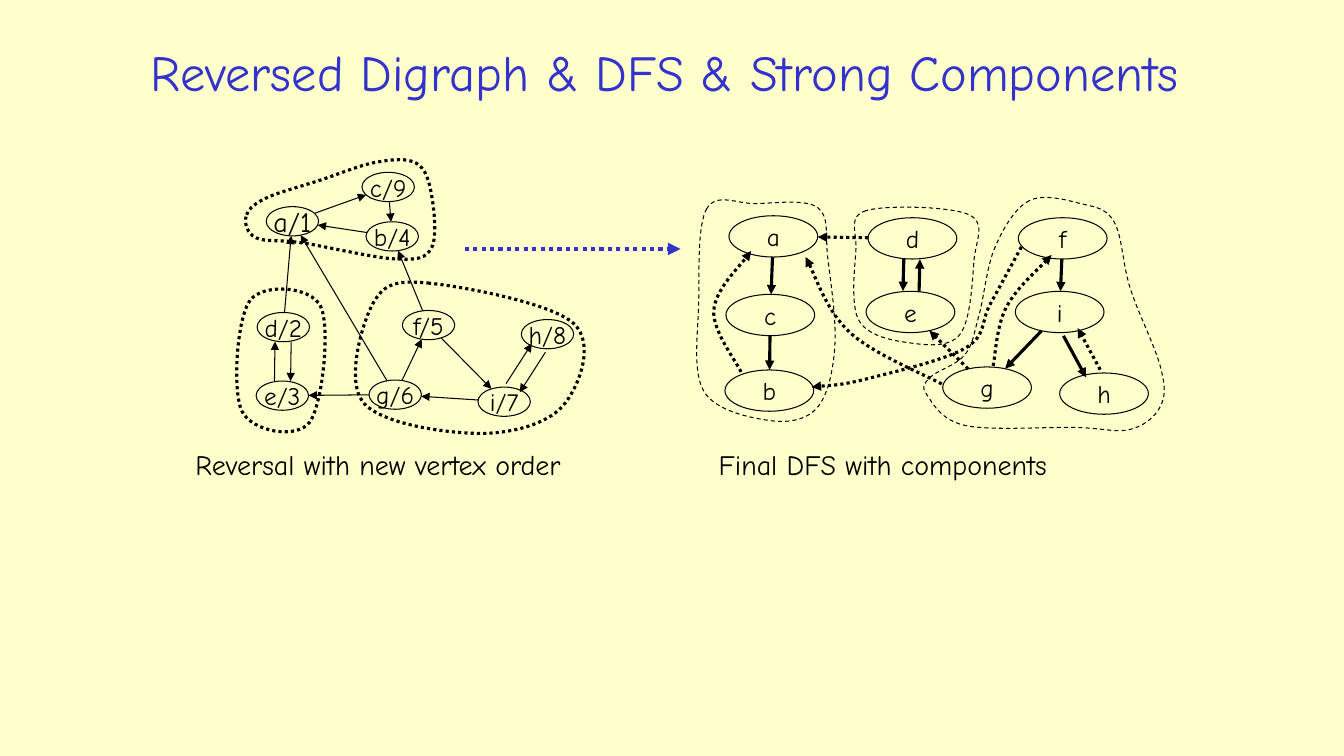
from math import hypot

from lxml import etree
from pptx import Presentation
from pptx.dml.color import RGBColor
from pptx.enum.dml import MSO_LINE
from pptx.enum.shapes import MSO_CONNECTOR, MSO_SHAPE
from pptx.enum.text import MSO_ANCHOR, PP_ALIGN
from pptx.oxml.ns import qn
from pptx.util import Inches, Pt

COLORS = {"paper": "FFFFCC", "ink": "000000", "accent": "3333CC"}
FONT = "Comic Neue"
ELLIPSE, STRAIGHT = MSO_SHAPE.OVAL, MSO_CONNECTOR.STRAIGHT
DOT, DASH = MSO_LINE.ROUND_DOT, MSO_LINE.DASH
CENTER, LEFT = PP_ALIGN.CENTER, PP_ALIGN.LEFT
MIDDLE, TOP = MSO_ANCHOR.MIDDLE, MSO_ANCHOR.TOP
THIN, THICK = 0.75, 2.25

# Points are in inches from the corner of the region; an edge names its two vertices.
REVERSED = {
    "node_size": (0.52, 0.29),
    "nodes": {"a/1": (1.64, 1.05), "c/9": (2.59, 0.71), "b/4": (2.63, 1.2),
              "d/2": (1.55, 2.1), "e/3": (1.54, 2.78), "f/5": (2.99, 2.08),
              "g/6": (2.66, 2.77), "i/7": (3.74, 2.84), "h/8": (4.17, 2.17)},
    "larger": "a/1",
    "edges": "ac ba cb da ed de fb ge fi ih hi ig gf ga",
    "dotted_edges": "",
    "edge_weight": THIN,
    "pair_shift": 0.08,
    "curves": [],
    "component_line": (THICK, DOT),
    "components": [
        [(3.26, 1.81), (2.7, 2.01), (2.6, 2.99), (3.73, 3.3), (4.58, 3.03), (4.69, 2.21)],
        [(1.48, 1.98), (1.4, 3.08), (2.07, 3.19), (2.18, 2.04)],
        [(1.44, 1.15), (1.54, 1.36), (2, 1.41), (2.93, 1.57), (3.28, 1.46), (3.28, 0.93),
         (3.13, 0.62), (2.73, 0.61), (2.17, 0.79), (1.63, 0.97)]],
    "caption": ("Reversal with new vertex order", 0.84, 4.28),
}

FINAL = {
    "node_size": (0.88, 0.41),
    "nodes": {"a": (1.23, 1.14), "c": (1.2, 1.92), "b": (1.19, 2.67),
              "d": (2.61, 1.16), "e": (2.59, 1.89), "f": (4.1, 1.16),
              "i": (4.07, 1.89), "g": (3.35, 2.64), "h": (4.51, 2.7)},
    "larger": None,
    "edges": "ac cb de fi ig ih ed",
    "dotted_edges": "hi da ge",
    "edge_weight": THICK,
    "pair_shift": -0.08,
    "curves": [
        [(1.35, 2.69), (1.08, 2.08), (1.45, 1.49)],
        [(3.85, 2.63), (3.98, 2.05), (4.43, 1.53)],
        [(3.34, 2.81), (2.43, 2.3), (1.99, 1.55)],
        [(4.13, 1.45), (3.82, 2.02), (3.58, 2.45), (2.59, 2.76), (2.05, 2.84)]],
    "component_line": (THIN, DASH),
    "components": [
        [(1.01, 1.07), (0.93, 1.99), (0.98, 2.88), (1.62, 3.17), (2.1, 3.05), (2.28, 2.44),
         (2.21, 1.56), (2.11, 1.06), (1.49, 1.02)],
        [(2.59, 1.09), (2.49, 1.48), (2.52, 2.18), (3.01, 2.4), (3.52, 2.32), (3.66, 1.59),
         (3.61, 1.13)],
        [(4.21, 0.99), (3.87, 1.45), (3.71, 2.13), (3.57, 2.52), (3.23, 2.74), (3.19, 2.91),
         (3.57, 3.22), (4.67, 3.24), (5.21, 3.26), (5.51, 3.03), (5.51, 2.64), (5.21, 1.86),
         (5.05, 1.2), (4.72, 1.02)]],
    "caption": ("Final DFS with components", 1.03, 3.69),
}


def color(name):
    return RGBColor.from_string(COLORS[name])


def write(shape, text, size, ink="ink", align=LEFT, anchor=TOP, wrap=True):
    frame = shape.text_frame
    frame.word_wrap, frame.vertical_anchor = wrap, anchor
    para = frame.paragraphs[0]
    para.alignment = align
    span = para.add_run()
    span.text = text
    span.font.name, span.font.size = FONT, Pt(size)
    span.font.color.rgb = color(ink)


def draw_line(shape, weight, dash=None, arrow=False, ink="ink"):
    shape.line.width = Pt(weight)
    shape.line.color.rgb = color(ink)
    if dash:
        shape.line.dash_style = dash
    if arrow:
        line = shape._element.spPr.find(qn("a:ln"))
        etree.SubElement(line, qn("a:tailEnd"), type="triangle")


def add_node(shapes, box, text, size):
    node = shapes.add_shape(ELLIPSE, *map(Inches, box))
    node.shadow.inherit = False
    node.fill.solid()
    node.fill.fore_color.rgb = color("paper")
    draw_line(node, THIN)
    write(node, text, size, align=CENTER, anchor=MIDDLE, wrap=False)


def add_arrow(shapes, start, end, weight, dash=None, ink="ink"):
    arrow = shapes.add_connector(STRAIGHT, *map(Inches, (*start, *end)))
    draw_line(arrow, weight, dash, True, ink)
    etree.SubElement(arrow._element.spPr, qn("a:effectLst"))


def edge_ends(start, end, size, shift):
    """Runs between the rims of two ellipses, moved sideways by shift."""
    (x1, y1), (x2, y2) = start, end
    dx, dy = x2 - x1, y2 - y1
    rim = 1 / hypot(2 * dx / size[0], 2 * dy / size[1])
    side_x, side_y = (shift * part / hypot(dx, dy) for part in (dy, -dx))
    return [(x1 + dx * part + side_x, y1 + dy * part + side_y) for part in (rim, 1 - rim)]


def smooth_points(knots, closed):
    """Adds two handles between knots, each a sixth of its neighbours' distance away."""
    if closed:
        padded = [knots[-1], *knots, *knots[:2]]
    else:
        padded = [knots[0], *knots, knots[-1]]
    points = [knots[0]]
    for before, start, end, after in zip(padded, padded[1:], padded[2:], padded[3:]):
        points.append([s + (e - b) / 6 for b, s, e in zip(before, start, end)])
        points.append([e - (a - s) / 6 for s, e, a in zip(start, end, after)])
        points.append(end)
    return points


def add_curve(shapes, knots, weight, dash, closed):
    start, *rest = [tuple(map(Inches, point)) for point in smooth_points(knots, closed)]
    builder = shapes.build_freeform(*start)
    builder.add_line_segments(rest, close=closed)
    curve = builder.convert_to_shape()
    steps = list(curve._element.iter(qn("a:lnTo")))[:len(rest)]
    for first in range(0, len(steps), 3):
        bezier = etree.Element(qn("a:cubicBezTo"))
        steps[first].addprevious(bezier)
        for step in steps[first:first + 3]:
            bezier.append(step[0])
            step.getparent().remove(step)
    curve.shadow.inherit = False
    curve.fill.background()
    draw_line(curve, weight, dash, arrow=not closed)


def add_text(shapes, box, text, size, **style):
    write(shapes.add_textbox(*map(Inches, box)), text, size, **style)


def add_digraph(page, left, top, graph):
    shapes = page.shapes.add_group_shape().shapes
    width, height = graph["node_size"]

    # Vertices
    centers = {}
    for text, (x, y) in graph["nodes"].items():
        x, y = left + x, top + y
        centers[text[0]] = (x + width / 2, y + height / 2)
        add_node(shapes, (x, y, width, height), text, 20 if text == graph["larger"] else 18)

    # Edges: opposite ones run side by side
    solid, dotted = graph["edges"].split(), graph["dotted_edges"].split()
    for edge in solid + dotted:
        shift = graph["pair_shift"] if edge[::-1] in solid + dotted else 0
        ends = edge_ends(centers[edge[0]], centers[edge[1]], (width, height), shift)
        add_arrow(shapes, *ends, graph["edge_weight"], DOT if edge in dotted else None)

    # Curved edges and strong components
    for kind, style, closed in (("curves", (THICK, DOT), False),
                                ("components", graph["component_line"], True)):
        for knots in graph[kind]:
            placed = [(left + x, top + y) for x, y in knots]
            add_curve(shapes, placed, *style, closed)

    # Caption
    text, indent, length = graph["caption"]
    add_text(shapes, (left + indent, top + 3.39, length, 0.43), text, 20)


def main():
    deck = Presentation()
    deck.slide_width, deck.slide_height = Inches(13.33), Inches(7.5)
    page = deck.slides.add_slide(deck.slide_layouts[6])
    page.background.fill.solid()
    page.background.fill.fore_color.rgb = color("paper")
    add_text(page.shapes, (0.42, 0.24, 12.35, 0.94),
             "Reversed Digraph & DFS & Strong Components", 36,
             ink="accent", align=CENTER, anchor=MIDDLE)
    add_digraph(page, 6, 1, FINAL)
    add_digraph(page, 1, 1, REVERSED)
    add_arrow(page.shapes, (4.61, 2.47), (6.75, 2.47), 3, DOT, "accent")
    deck.save("out.pptx")


if __name__ == "__main__":
    main()
